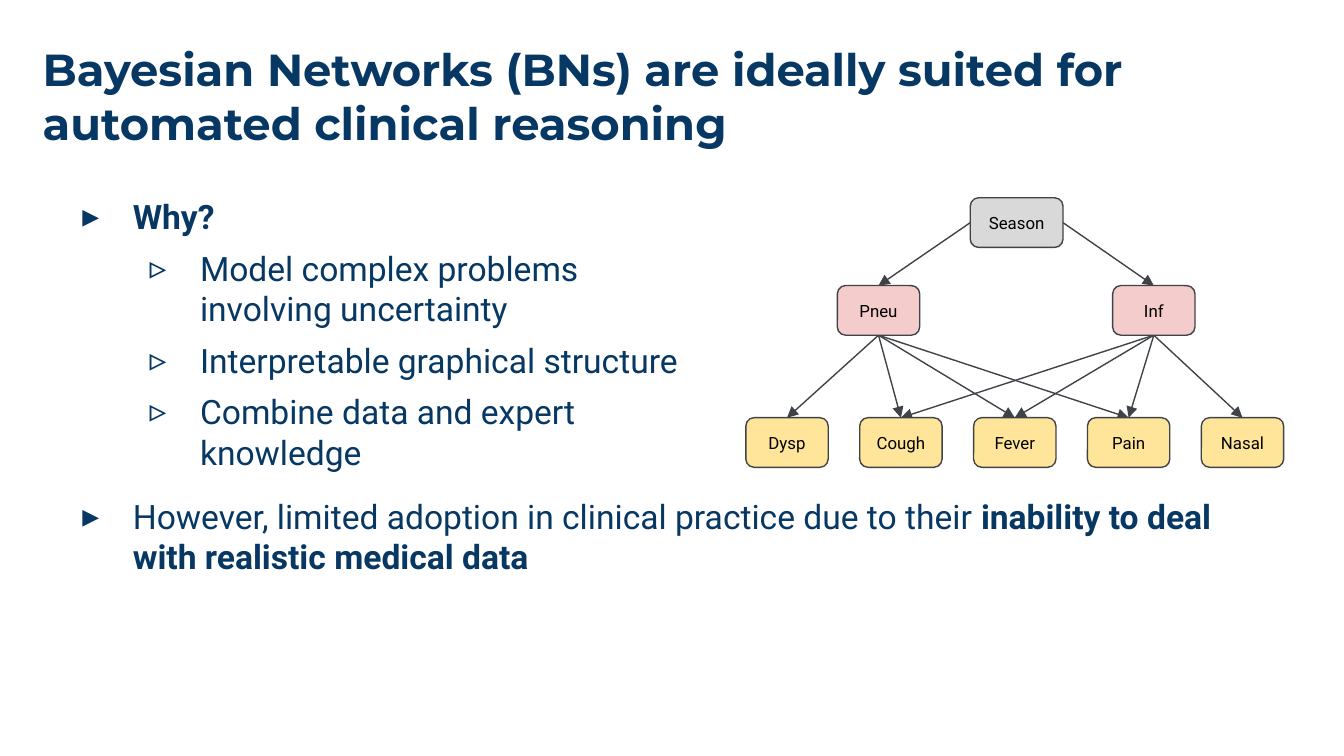
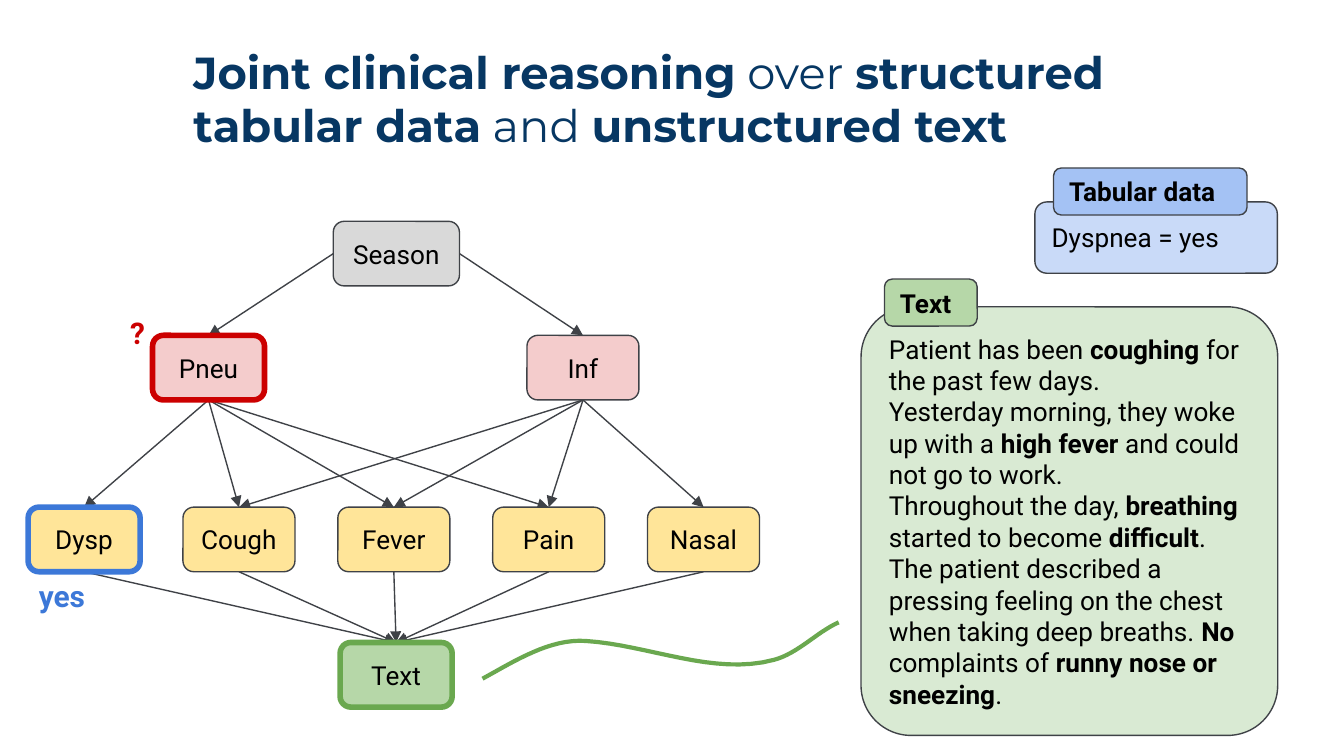
from lxml.etree import SubElement
from pptx import Presentation
from pptx.dml.color import RGBColor
from pptx.enum.shapes import MSO_CONNECTOR as Connector, MSO_SHAPE as Shape
from pptx.enum.text import MSO_ANCHOR as Anchor, PP_ALIGN as Align
from pptx.oxml.ns import qn
from pptx.util import Pt

NAVY, BLACK, OUTLINE = "073763", "000000", "3F4247"
GREY, PINK, YELLOW = "D9D9D9", "F4CCCC", "FFE599"
RED, BLUE, GREEN = "CC0000", "3C78D8", "6AA84F"
LIGHT_BLUE, MID_BLUE = "C9DAF8", "A4C2F4"
LIGHT_GREEN, MID_GREEN = "D9EAD3", "B6D7A8"
TITLE_FONT, BODY_FONT = "Montserrat", "Roboto"
TOP, LEFT, BOTTOM, RIGHT = range(4)

# Network geometry at scale 1: name -> (x, y, width, fill)
NODE_WIDTH, NODE_HEIGHT, SYMPTOM_STEP, SYMPTOM_Y = 44.1, 26.6, 61, 117.8
SYMPTOMS = ["Dysp", "Cough", "Fever", "Pain", "Nasal"]
NODES = {
    "Season": (120.2, 0, 49.7, GREY),
    "Pneu": (49, 47, NODE_WIDTH, PINK),
    "Inf": (196.5, 47, NODE_WIDTH, PINK),
}
for column, symptom in enumerate(SYMPTOMS):
    NODES[symptom] = (column * SYMPTOM_STEP, SYMPTOM_Y, NODE_WIDTH, YELLOW)
CAUSES = {"Pneu": SYMPTOMS[:4], "Inf": SYMPTOMS[1:]}


def color(value):
    return RGBColor.from_string(value)


def bezier(start, first, second, end, steps=16):
    """Return points along a cubic curve, without its start."""
    points = []
    for step in range(1, steps + 1):
        t = step / steps
        weights = ((1 - t) ** 3, 3 * t * (1 - t) ** 2, 3 * t * t * (1 - t), t ** 3)
        points.append(tuple(
            sum(weight * value for weight, value in zip(weights, axis))
            for axis in zip(start, first, second, end)))
    return points


class Deck:
    def __init__(self):
        self.presentation = Presentation()
        self.presentation.slide_width = Pt(720)
        self.presentation.slide_height = Pt(405)
        self.slide = None

    def add_slide(self):
        self.slide = self.presentation.slides.add_slide(
            self.presentation.slide_layouts[6])

    def add_runs(self, paragraph, text, size, font=BODY_FONT, ink=BLACK):
        """Add the runs of a text in which *stars* mark bold."""
        for index, part in enumerate(text.split("*")):
            if part:
                run = paragraph.add_run()
                run.text = part
                run.font.name = font
                run.font.size = Pt(size)
                run.font.bold = index % 2 == 1
                run.font.color.rgb = color(ink)

    def frame(self, shape):
        frame = shape.text_frame
        frame.word_wrap = True
        frame.margin_left = frame.margin_right = Pt(7.2)
        frame.margin_top = frame.margin_bottom = Pt(7.2)
        return frame

    def paragraphs(self, frame, texts):
        """Yield a paragraph of the frame for each text."""
        for index, text in enumerate(texts):
            yield (frame.add_paragraph() if index else frame.paragraphs[0]), text

    def text_box(self, left, top, width, height):
        return self.frame(self.slide.shapes.add_textbox(
            Pt(left), Pt(top), Pt(width), Pt(height)))

    def title(self, text, left, top, width):
        frame = self.text_box(left, top, width, 67.7)
        self.add_runs(frame.paragraphs[0], text, 24, TITLE_FONT, NAVY)

    def label(self, text, left, top, ink):
        frame = self.text_box(left, top, 51.8, 28.8)
        self.add_runs(frame.paragraphs[0], f"*{text}*", 16, ink=ink)

    def bullets(self, items, left, top, width, height):
        """Add a bulleted list of (level, text) items."""
        frame = self.text_box(left, top, width, height)
        for paragraph, (level, text) in self.paragraphs(frame, items):
            paragraph.level = level
            paragraph.space_before = Pt(6)
            properties = paragraph._p.get_or_add_pPr()
            properties.set("marL", str(Pt(36 * (level + 1))))
            properties.set("indent", str(Pt(-27)))
            bullet_color = SubElement(properties, qn("a:buClr"))
            SubElement(bullet_color, qn("a:srgbClr"), val=NAVY)
            SubElement(properties, qn("a:buFont"), typeface=BODY_FONT)
            SubElement(properties, qn("a:buChar"), char="▸▹"[level])
            self.add_runs(paragraph, text, 18, ink=NAVY)

    def box(self, texts, left, top, width, height, fill, size=14, align=Align.LEFT,
            line=OUTLINE, weight=0.75, radius=0.167):
        shape = self.slide.shapes.add_shape(
            Shape.ROUNDED_RECTANGLE, Pt(left), Pt(top), Pt(width), Pt(height))
        shape.shadow.inherit = False
        shape.adjustments[0] = radius
        shape.fill.solid()
        shape.fill.fore_color.rgb = color(fill)
        shape.line.color.rgb = color(line)
        shape.line.width = Pt(weight)
        frame = self.frame(shape)
        frame.vertical_anchor = Anchor.MIDDLE
        for paragraph, text in self.paragraphs(frame, texts):
            paragraph.alignment = align
            self.add_runs(paragraph, text, size)
        return shape

    def arrow(self, source, target, side=BOTTOM):
        """Join a side of the source to the top of the target, behind both."""
        connector = self.slide.shapes.add_connector(Connector.STRAIGHT, 0, 0, 0, 0)
        connector.begin_connect(source, side)
        connector.end_connect(target, TOP)
        connector.line.color.rgb = color(OUTLINE)
        connector.line.width = Pt(0.75)
        element = connector._element
        SubElement(connector.line._get_or_add_ln(), qn("a:tailEnd"), type="triangle")
        SubElement(element.spPr, qn("a:effectLst"))
        element.getparent().insert(2, element)

    def curve(self, start, segments, ink, weight):
        """Draw an open line through cubic segments of three points each."""
        points = [start]
        for segment in segments:
            points += bezier(points[-1], *segment)
        corners = [(Pt(x), Pt(y)) for x, y in points]
        builder = self.slide.shapes.build_freeform(*corners[0])
        builder.add_line_segments(corners[1:], close=False)
        shape = builder.convert_to_shape()
        shape.shadow.inherit = False
        shape.fill.background()
        shape.line.color.rgb = color(ink)
        shape.line.width = Pt(weight)

    def network(self, left, top, scale_x, scale_y, size, highlights):
        """Draw the network and return its nodes by name."""
        nodes = {}
        for name, (x, y, width, fill) in NODES.items():
            line, weight = (highlights[name], 3) if name in highlights else (OUTLINE, 0.75)
            nodes[name] = self.box(
                [name], left + x * scale_x, top + y * scale_y, width * scale_x,
                NODE_HEIGHT * scale_y, fill, size, Align.CENTER, line, weight)
        self.arrow(nodes["Season"], nodes["Pneu"], LEFT)
        self.arrow(nodes["Season"], nodes["Inf"], RIGHT)
        for cause, effects in CAUSES.items():
            for effect in effects:
                self.arrow(nodes[cause], nodes[effect])
        return nodes


def motivation_slide(deck):
    deck.add_slide()
    deck.title("*Bayesian Networks (BNs) are ideally suited for automated clinical reasoning*",
               15.8, 15.1, 684)
    deck.bullets([(0, "However, limited adoption in clinical practice due to their "
                      "*inability to deal with realistic medical data*")],
                 28.1, 258.4, 647.3, 100)
    deck.bullets([
        (0, "*Why?*"),
        (1, "Model complex problems involving uncertainty"),
        (1, "Interpretable graphical structure"),
        (1, "Combine data and expert knowledge"),
    ], 28.1, 98, 357.8, 192.2)
    deck.network(399.6, 106, 1, 1, 9, {})


def joint_reasoning_slide(deck):
    deck.add_slide()
    deck.title("*Joint clinical reasoning* over *structured tabular data* and *unstructured text*",
               96.5, 16.6, 561)
    nodes = deck.network(15.1, 118.6, 1.36, 1.3, 14, {"Pneu": RED, "Dysp": BLUE})
    text_node = deck.box(["Text"], 182.2, 344.2, 60, 34.6, MID_GREEN,
                         align=Align.CENTER, line=GREEN, weight=3)
    for name in SYMPTOMS:
        deck.arrow(nodes[name], text_node)
    deck.label("?", 62.6, 161.3, RED)
    deck.label("yes", 13.7, 302.4, BLUE)

    deck.box(["Dyspnea = yes"], 554.4, 108.2, 129.9, 38.2, LIGHT_BLUE)
    deck.box(["*Tabular data*"], 564.4, 90, 103.7, 25.2, MID_BLUE)
    deck.box([
        "Patient has been *coughing *for the past few days.",
        "Yesterday morning, they woke up with a *high fever* and could not go to work.",
        "Throughout the day, *breathing *started to become *difficult*. The patient "
        "described a pressing feeling on the chest when taking deep breaths. "
        "*No *complaints of *runny nose or sneezing*.",
    ], 461.3, 164.4, 223.2, 229.6, LIGHT_GREEN, radius=0.12)
    deck.box(["*Text*"], 473.8, 149.5, 49.7, 25.2, MID_GREEN)
    deck.curve((258.5, 363.6), [
        ((275.8, 354.2), (294.5, 342), (313.9, 343.4)),
        ((347.8, 345.6), (382.3, 362.2), (414.7, 353.5)),
        ((427.7, 349.9), (437, 339.1), (449.3, 333.4)),
    ], GREEN, 2.25)


def main():
    deck = Deck()
    motivation_slide(deck)
    joint_reasoning_slide(deck)
    deck.presentation.save("out.pptx")


if __name__ == "__main__":
    main()
